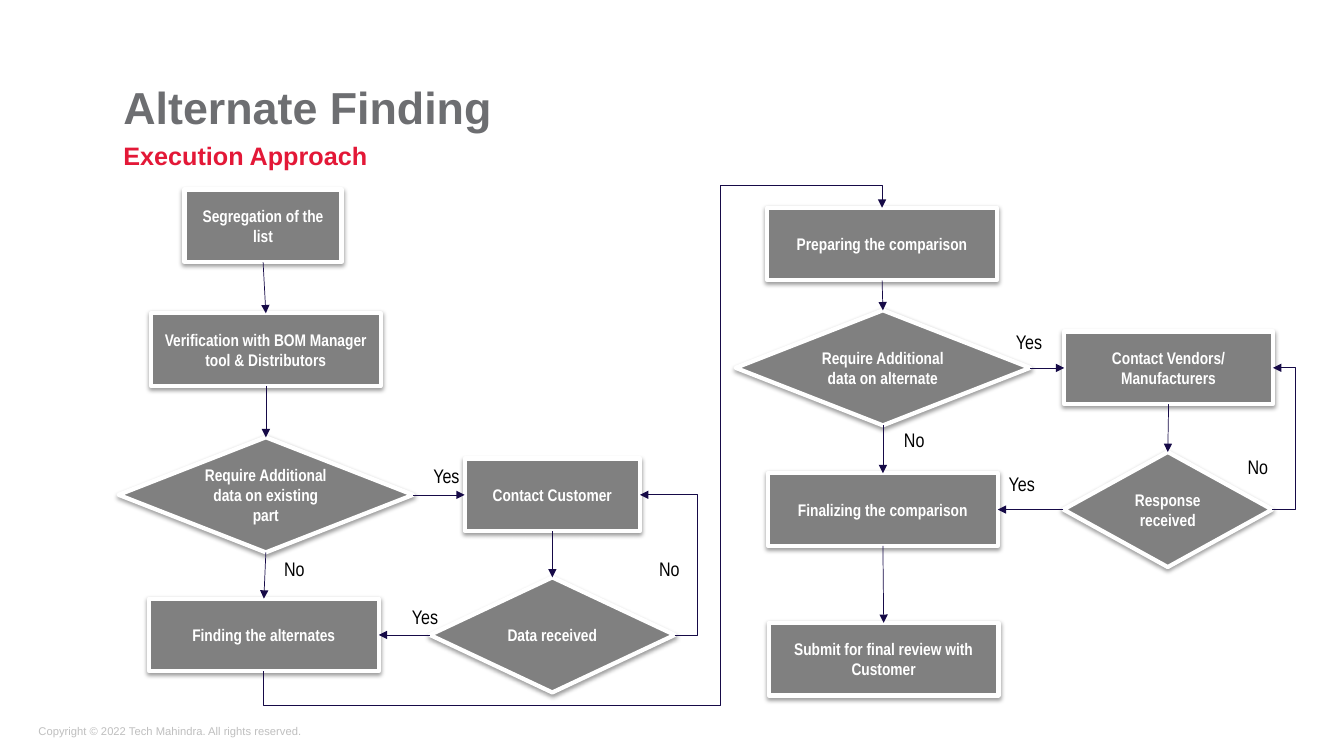
import lxml.etree
import pptx
import pptx.dml.color
import pptx.enum.shapes
import pptx.enum.text
import pptx.oxml
import pptx.oxml.ns
import pptx.util

Cm = pptx.util.Cm
Pt = pptx.util.Pt
SHAPE = pptx.enum.shapes.MSO_SHAPE
CONNECTOR = pptx.enum.shapes.MSO_CONNECTOR
TEXT = pptx.enum.text
qn = pptx.oxml.ns.qn

COLORS = {"title": "6D6E71", "accent": "E31837", "node": "808080", "white": "FFFFFF",
          "line": "160A47", "label": "000000", "footer": "BFBFBF", "shadow": "000000"}
STEP_H, DECISION_H = 1.83, 2.9
STEP_W, DECISION_W = 5.79, 7.42
TOP, LEFT, BOTTOM, RIGHT = range(4)


def rgb(name):
    """Return the named colour."""
    return pptx.dml.color.RGBColor.from_string(COLORS[name])


def add_run(p, text, size, font, color, bold=False):
    """Add one formatted run to a paragraph."""
    r = p.add_run()
    r.text = text
    r.font.size, r.font.name, r.font.bold = Pt(size), font, bold
    r.font.color.rgb = rgb(color)


def add_text(s, box, text, size, font, color, bold=False, wrap=True, inset=None):
    """Add a text box that grows with its text."""
    tf = s.shapes.add_textbox(*map(Cm, box)).text_frame
    tf.word_wrap = wrap
    tf.auto_size = TEXT.MSO_AUTO_SIZE.SHAPE_TO_FIT_TEXT
    if inset is not None:
        tf.margin_left = tf.margin_top = tf.margin_right = tf.margin_bottom = Cm(inset)
    add_run(tf.paragraphs[0], text, size, font, color, bold)


def add_shadow(sp):
    """Give a shape a soft shadow below it."""
    sp.shadow.inherit = False
    effects = sp._element.spPr.find(qn("a:effectLst"))
    shadow = lxml.etree.SubElement(effects, qn("a:outerShdw"), blurRad="40000",
                                   dist="20000", dir="5400000", rotWithShape="0")
    color = lxml.etree.SubElement(shadow, qn("a:srgbClr"), val=COLORS["shadow"])
    lxml.etree.SubElement(color, qn("a:alpha"), val="38000")


def add_node(s, box, cx, cy, w, text, decision=False):
    """Add a step or decision centred at a point of the region."""
    h = DECISION_H if decision else STEP_H
    kind = SHAPE.FLOWCHART_DECISION if decision else SHAPE.RECTANGLE
    sp = s.shapes.add_shape(kind, Cm(box[0] + cx - w / 2), Cm(box[1] + cy - h / 2), Cm(w), Cm(h))
    sp.fill.solid()
    sp.fill.fore_color.rgb = rgb("node")
    sp.line.color.rgb = rgb("white")
    sp.line.width = Pt(3)
    add_shadow(sp)
    tf = sp.text_frame
    tf.word_wrap = True
    tf.vertical_anchor = TEXT.MSO_ANCHOR.MIDDLE
    p = tf.paragraphs[0]
    p.alignment = TEXT.PP_ALIGN.CENTER
    add_run(p, text, 12, "Arial Narrow", "white", True)
    return sp


def add_labels(s, box, labels):
    """Add the answers beside the arrows of a region."""
    for text, x, y in labels:
        w = 1.24 if text == "Yes" else 1.09
        add_text(s, (box[0] + x, box[1] + y, w, 0.89), text, 14, "Arial Narrow", "label", wrap=False)


def add_arrow(s, start, start_site, end, end_site, kind=CONNECTOR.STRAIGHT):
    """Connect two nodes with an arrow."""
    cxn = s.shapes.add_connector(kind, 0, 0, 0, 0)
    cxn.begin_connect(start, start_site)
    cxn.end_connect(end, end_site)
    cxn.line.color.rgb = rgb("line")
    cxn.line.width = Pt(0.5)
    lxml.etree.SubElement(cxn.line._get_or_add_ln(), qn("a:tailEnd"), type="triangle")
    lxml.etree.SubElement(cxn._element.spPr, qn("a:effectLst"))
    return cxn


def set_bends(cxn, preset, bends):
    """Set the bend positions as fractions of the connector's size."""
    geom = cxn._element.spPr.find(qn("a:prstGeom"))
    geom.set("prst", preset)
    guides = geom.get_or_add_avLst()
    for i, bend in enumerate(bends, 1):
        lxml.etree.SubElement(guides, qn("a:gd"), name=f"adj{i}", fmla=f"val {round(bend * 100000)}")


def add_loop(s, start, end):
    """Lead an arrow back up along the right side of two nodes."""
    cxn = add_arrow(s, start, RIGHT, end, RIGHT, CONNECTOR.ELBOW)
    set_bends(cxn, "bentConnector3", [Cm(0.58) / (cxn.end_x - cxn.begin_x)])


def add_handover(s, start, end, lane_x):
    """Lead an arrow from below one node, up a lane, to the top of another."""
    cxn = add_arrow(s, start, BOTTOM, end, TOP, CONNECTOR.ELBOW)
    dx, dy = cxn.width, cxn.height
    lane = (Cm(lane_x) - cxn.begin_x) / dx
    cxn.left, cxn.top = cxn.left + (dx - dy) // 2, cxn.top + (dy - dx) // 2
    cxn.width, cxn.height = dy, dx
    xfrm = cxn._element.spPr.find(qn("a:xfrm"))
    xfrm.set("rot", "5400000")
    xfrm.set("flipH", "1")
    xfrm.set("flipV", "1")
    set_bends(cxn, "bentConnector5", [-Cm(0.86) / dy, lane, 1 + Cm(0.56) / dy])


def add_header(s, box):
    """Add the title and subtitle."""
    x, y, w = box
    add_text(s, (x, y, w, 1.37), "Alternate Finding", 32, "Arial", "title", True, inset=0)
    add_text(s, (x, y + 1.52, w, 0.79), "Execution Approach", 18, "Arial", "accent", True, inset=0)


def add_search_flow(s, box):
    """Add the left flow and return its last step."""
    segregate = add_node(s, box, 3.63, 1.02, 3.96, "Segregation of the list")
    verify = add_node(s, box, 3.7, 4.14, STEP_W, "Verification with BOM Manager tool & Distributors")
    require = add_node(s, box, 3.7, 7.8, DECISION_W, "Require Additional data on existing part", True)
    find = add_node(s, box, 3.65, 11.33, STEP_W, "Finding the alternates")
    contact = add_node(s, box, 10.92, 7.8, 4.42, "Contact Customer")
    received = add_node(s, box, 10.92, 11.33, 6.17, "Data received", True)
    for start, end in ((segregate, verify), (verify, require), (require, find), (contact, received)):
        add_arrow(s, start, BOTTOM, end, TOP)
    add_arrow(s, require, RIGHT, contact, LEFT)
    add_arrow(s, received, LEFT, find, RIGHT)
    add_loop(s, received, contact)
    add_labels(s, box, [("Yes", 7.67, 6.89), ("No", 3.91, 9.25),
                        ("Yes", 7.13, 10.44), ("No", 13.36, 9.25)])
    return find


def add_comparison_flow(s, box):
    """Add the right flow and return its first step."""
    prepare = add_node(s, box, 3.73, 1.48, STEP_W, "Preparing the comparison")
    require = add_node(s, box, 3.75, 4.6, DECISION_W, "Require Additional data on alternate", True)
    finalize = add_node(s, box, 3.75, 8.17, STEP_W, "Finalizing the comparison")
    submit = add_node(s, box, 3.77, 11.94, STEP_W, "Submit for final review with Customer")
    contact = add_node(s, box, 10.95, 4.6, 5.26, "Contact Vendors/ Manufacturers")
    received = add_node(s, box, 10.93, 8.17, 5.26, "Response received", True)
    for start, end in ((prepare, require), (require, finalize), (finalize, submit), (contact, received)):
        add_arrow(s, start, BOTTOM, end, TOP)
    add_arrow(s, require, RIGHT, contact, LEFT)
    add_arrow(s, received, LEFT, finalize, RIGHT)
    add_loop(s, received, contact)
    add_labels(s, box, [("Yes", 6.85, 3.51), ("No", 4.03, 6),
                        ("Yes", 6.67, 7.09), ("No", 12.69, 6.66)])
    return prepare


def add_footer(s, box):
    """Add the copyright line."""
    add_text(s, box, "Copyright © 2022 Tech Mahindra. All rights reserved.", 8, "Arial", "footer",
             wrap=False, inset=0)


def main():
    """Build the slide and save it."""
    prs = pptx.Presentation()
    prs.slide_width, prs.slide_height = Cm(33.87), Cm(19.05)
    s = prs.slides.add_slide(prs.slide_layouts[6])
    add_header(s, (3.11, 2.01, 22.83))
    find = add_search_flow(s, (3, 4.67))
    prepare = add_comparison_flow(s, (18.5, 4.67))
    add_handover(s, find, prepare, 18.16)
    add_footer(s, (0.97, 18.24, 6.76, 0.33))
    prs.save("out.pptx")


if __name__ == "__main__":
    main()
